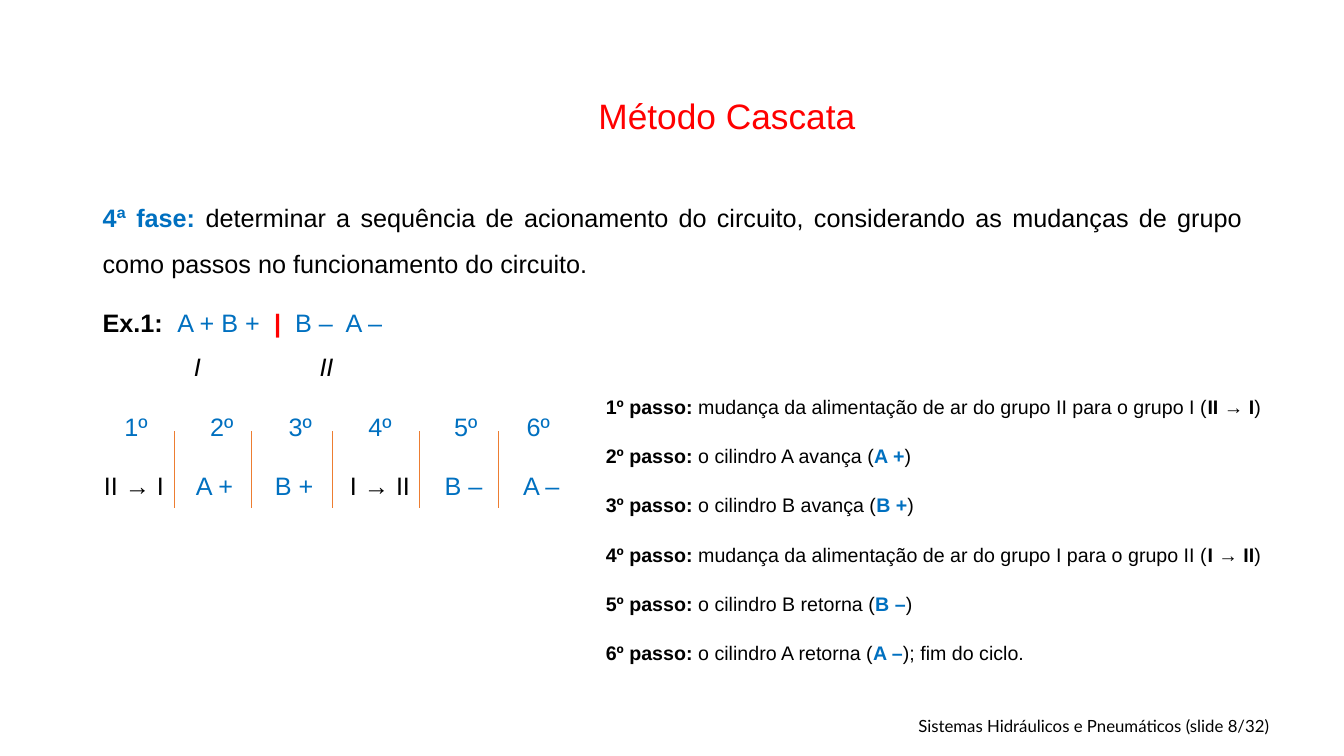
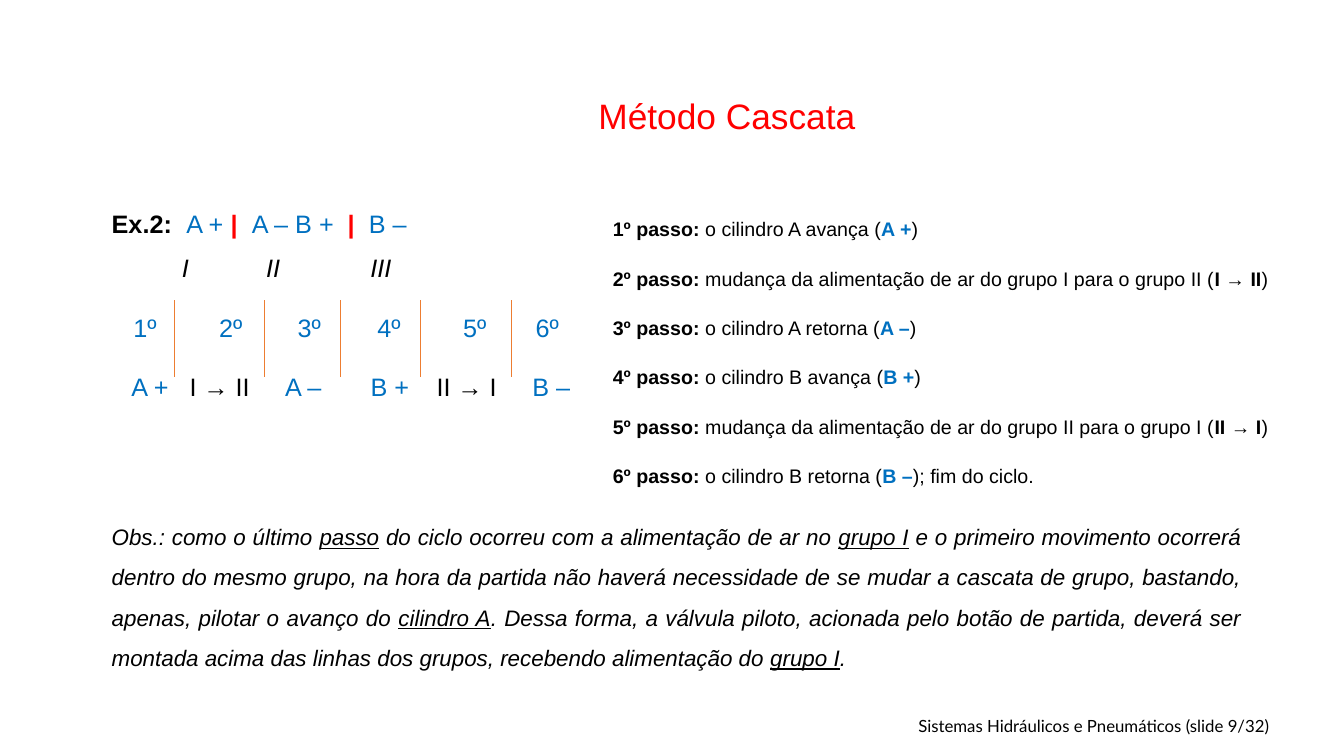
from lxml import etree
from pptx import Presentation
from pptx.dml.color import RGBColor
from pptx.enum.shapes import MSO_CONNECTOR
from pptx.enum.text import MSO_ANCHOR, MSO_AUTO_SIZE, PP_ALIGN
from pptx.oxml.ns import qn
from pptx.util import Inches, Pt

STRAIGHT = MSO_CONNECTOR.STRAIGHT
TOP, MIDDLE, BOTTOM = MSO_ANCHOR.TOP, MSO_ANCHOR.MIDDLE, MSO_ANCHOR.BOTTOM
LEFT, CENTER = PP_ALIGN.LEFT, PP_ALIGN.CENTER
RIGHT, JUSTIFY = PP_ALIGN.RIGHT, PP_ALIGN.JUSTIFY
NO_FIT = MSO_AUTO_SIZE.NONE
BLACK, BLUE, RED, ORANGE = "000000", "0070C0", "FF0000", "ED7D31"
FONT, FOOTER_FONT = "Arial", "Lato"
ORDINALS = [f"{n}º" for n in range(1, 7)]
ORDINAL_STOPS = [0.33, 1.18, 1.96, 2.75, 3.6, 4.32]
TO_I, TO_II = "II → I", "I → II"
CHANGE_TO_I = "mudança da alimentação de ar do grupo II para o grupo I ("
CHANGE_TO_II = "mudança da alimentação de ar do grupo I para o grupo II ("


def rgb(color):
    """Turn a hex string into a colour."""
    return RGBColor.from_string(color)


def action_color(action):
    """Give black for a group change and blue for a cylinder movement."""
    return BLACK if "→" in action else BLUE


def add_run(p, text, size=18, color=BLACK, bold=False, italic=False,
            underline=False, font=FONT):
    """Append one formatted run to a paragraph."""
    r = p.add_run()
    r.text = text
    r.font.name = font
    r.font.size = Pt(size)
    r.font.color.rgb = rgb(color)
    r.font.bold = bold
    r.font.italic = italic
    r.font.underline = underline


def format_frame(tf, anchor):
    """Wrap a text frame, fix its size and anchor its text."""
    tf.word_wrap = True
    tf.auto_size = NO_FIT
    tf.vertical_anchor = anchor


def add_box(s, left, top, width, height, anchor=TOP):
    """Add a text box and return its text frame."""
    tf = s.shapes.add_textbox(Inches(left), Inches(top), Inches(width),
                              Inches(height)).text_frame
    format_frame(tf, anchor)
    return tf


def add_paragraph(tf, align=LEFT, spacing=1.5):
    """Return the empty first paragraph, or a new one, with body spacing."""
    p = tf.paragraphs[0]
    if p.runs:
        p = tf.add_paragraph()
    p.alignment = align
    p.line_spacing = spacing
    p.space_before = Pt(10)
    return p


def set_tabs(p, stops, align):
    """Put tab stops at the given inches on a paragraph."""
    tabs = etree.SubElement(p._p.get_or_add_pPr(), qn("a:tabLst"))
    for stop in stops:
        etree.SubElement(tabs, qn("a:tab"), pos=str(Inches(stop)), algn=align)


def add_row(tf, items, stops, colors, spacing=1.5, italic=False):
    """Add a line of items, each centred on its tab stop."""
    p = add_paragraph(tf, spacing=spacing)
    set_tabs(p, stops, "ctr")
    for item, color in zip(items, colors):
        add_run(p, "\t" + item, color=color, italic=italic)


def add_example(tf, label, parts, part_stops, groups, group_stops,
                actions, action_stops):
    """Add an example: its sequence, groups, step numbers and actions."""
    p = add_paragraph(tf)
    set_tabs(p, part_stops, "l")
    add_run(p, label, bold=True)
    for part in parts:
        bar = part == "|"
        add_run(p, "\t" + part, color=RED if bar else BLUE, bold=bar)
    add_row(tf, groups, group_stops, [BLACK] * len(groups), 1.0, True)
    add_row(tf, ORDINALS, ORDINAL_STOPS, [BLUE] * len(ORDINALS))
    add_row(tf, actions, action_stops, [action_color(a) for a in actions])


def add_dividers(s, xs, top):
    """Draw the thin vertical lines between the steps."""
    for x in xs:
        line = s.shapes.add_connector(STRAIGHT, Inches(x), Inches(top),
                                      Inches(x), Inches(top + 0.76))
        line.line.color.rgb = rgb(ORANGE)
        line.line.width = Pt(0.5)
        etree.SubElement(line._element.spPr, qn("a:effectLst"))


def add_steps(s, left, top, width, height, texts, actions, align):
    """List the numbered steps, each with its action in brackets."""
    tf = add_box(s, left, top, width, height)
    for ordinal, text, action in zip(ORDINALS, texts, actions):
        p = add_paragraph(tf, align)
        add_run(p, f"{ordinal} passo: ", 14, bold=True)
        add_run(p, text, 14)
        add_run(p, action, 14, action_color(action), bold=True)
        add_run(p, "); fim do ciclo." if ordinal == ORDINALS[-1] else ")", 14)


def add_slide(prs, number):
    """Add a slide with the shared title and footer."""
    s = prs.slides.add_slide(prs.slide_layouts[5])
    title = s.shapes.title
    title.left, title.top = Inches(1.73), Inches(0.73)
    title.width, title.height = Inches(10.96), Inches(0.62)
    format_frame(title.text_frame, MIDDLE)
    p = title.text_frame.paragraphs[0]
    p.alignment = CENTER
    p.line_spacing = 1.5
    add_run(p, "Método Cascata", 25.2, RED)
    p = add_box(s, 7.99, 7.06, 4.7, 0.29, BOTTOM).paragraphs[0]
    p.alignment = RIGHT
    add_run(p, f"Sistemas Hidráulicos e Pneumáticos (slide {number}/32)", 12,
            font=FOOTER_FONT)
    return s


def build_two_groups(prs):
    """Build the slide with the fourth phase and the first example."""
    s = add_slide(prs, 8)
    tf = add_box(s, 0.92, 1.81, 11.5, 4.76)
    p = add_paragraph(tf, JUSTIFY)
    add_run(p, "4ª fase: ", color=BLUE, bold=True)
    add_run(p, "determinar a sequência de acionamento do circuito, "
               "considerando as mudanças de grupo como passos no "
               "funcionamento do circuito.")
    actions = [TO_I, "A +", "B +", TO_II, "B –", "A –"]
    add_example(tf, "Ex.1:", ["A + B +", "|", "B –", "A –"],
                [0.74, 1.7, 1.91, 2.41], ["I", "II"], [0.94, 2.22],
                actions, [0.31, 1.11, 1.9, 2.75, 3.58, 4.35])
    add_dividers(s, [1.73, 2.49, 3.3, 4.16, 4.94], 4.28)
    texts = [CHANGE_TO_I, "o cilindro A avança (", "o cilindro B avança (",
             CHANGE_TO_II, "o cilindro B retorna (", "o cilindro A retorna ("]
    add_steps(s, 5.91, 3.75, 7.12, 3.07, texts, actions, JUSTIFY)


def build_three_groups(prs):
    """Build the slide with the second example and its remark."""
    s = add_slide(prs, 9)
    tf = add_box(s, 1.01, 1.87, 4.9, 2.3)
    actions = ["A +", TO_II, "A –", "B +", TO_I, "B –"]
    add_example(tf, "Ex.2:", ["A +", "|", "A – B +", "|", "B –"],
                [0.74, 1.18, 1.39, 2.34, 2.55],
                ["I", "II", "III"], [0.73, 1.6, 2.67],
                actions, [0.38, 1.07, 1.9, 2.76, 3.52, 4.36])
    add_dividers(s, [1.73, 2.62, 3.38, 4.17, 5.07], 2.98)
    texts = ["o cilindro A avança (", CHANGE_TO_II, "o cilindro A retorna (",
             "o cilindro B avança (", CHANGE_TO_I, "o cilindro B retorna ("]
    add_steps(s, 5.98, 1.99, 6.84, 2.55, texts, actions, LEFT)
    remark = [
        "Obs.: como o último ", "passo",
        " do ciclo ocorreu com a alimentação de ar no ", "grupo I",
        " e o primeiro movimento ocorrerá dentro do mesmo grupo, na hora da "
        "partida não haverá necessidade de se mudar a cascata de grupo, "
        "bastando, apenas, pilotar o avanço do ", "cilindro A",
        ". Dessa forma, a válvula piloto, acionada pelo botão de partida, "
        "deverá ser montada acima das linhas dos grupos, recebendo "
        "alimentação do ", "grupo I", "."]
    p = add_paragraph(add_box(s, 1.01, 5.01, 11.4, 1.8), JUSTIFY)
    for i, text in enumerate(remark):
        add_run(p, text, 16, italic=True, underline=i % 2 == 1)


def main():
    """Build and save the presentation."""
    prs = Presentation()
    prs.slide_width, prs.slide_height = Inches(13.33), Inches(7.5)
    build_two_groups(prs)
    build_three_groups(prs)
    prs.save("out.pptx")


main()
